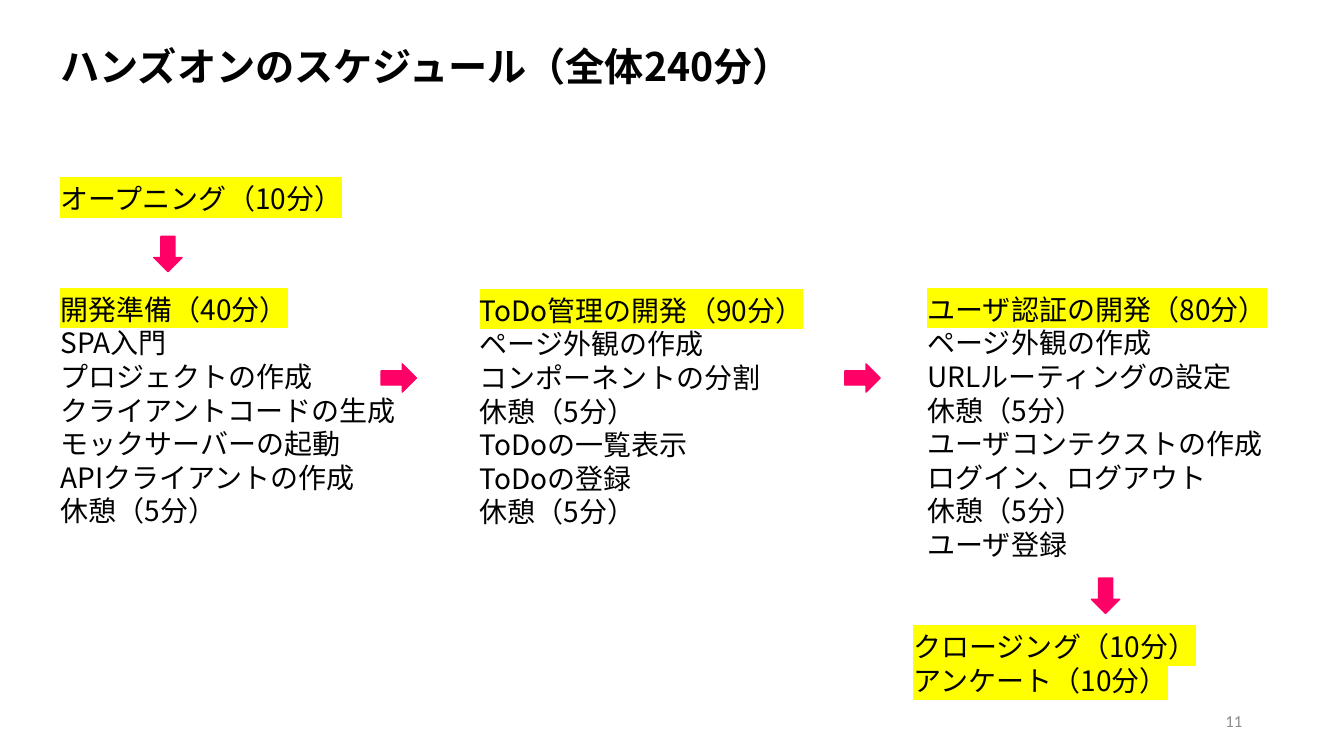
from lxml.etree import SubElement
from pptx import Presentation
from pptx.dml.color import RGBColor
from pptx.enum.shapes import MSO_SHAPE
from pptx.enum.text import MSO_ANCHOR, PP_ALIGN
from pptx.oxml.ns import qn
from pptx.util import Inches, Pt

BLACK = RGBColor(0x00, 0x00, 0x00)
GRAY = RGBColor(0x8C, 0x8C, 0x8C)
PINK = RGBColor(0xFF, 0x00, 0x66)
YELLOW = RGBColor(0xFF, 0xFF, 0x00)
JAPANESE_FONT = "Noto Sans CJK JP"

# Grid: column edges, column width and text line height in inches
LEFT, MIDDLE, RIGHT = 0.5, 4.66, 9.1
COLUMN_WIDTH = 4.01
LINE_HEIGHT = 24 / 72
INSET = 0.05

# Each stage: left, top, highlighted headings, plain items
STAGES = [
    (LEFT, 1.75, ["オープニング（10分）"], []),
    (LEFT, 2.85, ["開発準備（40分）"],
     ["SPA入門", "プロジェクトの作成", "クライアントコードの生成",
      "モックサーバーの起動", "APIクライアントの作成", "休憩（5分）"]),
    (MIDDLE, 2.86, ["ToDo管理の開発（90分）"],
     ["ページ外観の作成", "コンポーネントの分割", "休憩（5分）",
      "ToDoの一覧表示", "ToDoの登録", "休憩（5分）"]),
    (RIGHT, 2.85, ["ユーザ認証の開発（80分）"],
     ["ページ外観の作成", "URLルーティングの設定", "休憩（5分）",
      "ユーザコンテクストの作成", "ログイン、ログアウト", "休憩（5分）", "ユーザ登録"]),
    (8.96, 6.2, ["クロージング（10分）", "アンケート（10分）"], []),
]

# Each arrow: left, top, rotation
ARROWS = [(1.49, 2.38, 90), (3.78, 3.61, 0), (8.38, 3.61, 0), (10.79, 5.77, 90)]


def add_text_box(page, left, top, width, height):
    box = page.shapes.add_textbox(
        Inches(left), Inches(top), Inches(width), Inches(height))
    box.text_frame.word_wrap = True
    return box.text_frame


def add_span(para, text, size, color=BLACK, font=JAPANESE_FONT,
             bold=False, highlight=None):
    span = para.add_run()
    span.text = text
    span.font.size = Pt(size)
    span.font.bold = bold
    span.font.color.rgb = color
    properties = span.font._element
    if highlight is not None:
        marker = SubElement(properties, qn("a:highlight"))
        SubElement(marker, qn("a:srgbClr")).set("val", str(highlight))
    span.font.name = font
    SubElement(properties, qn("a:ea")).set("typeface", font)


def add_title(page, left, top, width, height):
    frame = add_text_box(page, left, top, width, height)
    add_span(frame.paragraphs[0], "ハンズオンのスケジュール（全体240分）", 28, bold=True)


def add_stage(page, left, top, headings, items):
    lines = [(text, YELLOW) for text in headings] + [(text, None) for text in items]
    height = len(lines) * LINE_HEIGHT + 2 * INSET
    frame = add_text_box(page, left, top, COLUMN_WIDTH, height)
    for index, (text, highlight) in enumerate(lines):
        para = frame.add_paragraph() if index else frame.paragraphs[0]
        para.line_spacing = Pt(24)
        add_span(para, text, 20, highlight=highlight)


def add_arrow(page, left, top, rotation):
    arrow = page.shapes.add_shape(
        MSO_SHAPE.RIGHT_ARROW, Inches(left), Inches(top), Inches(0.35), Inches(0.28))
    arrow.rotation = rotation
    arrow.shadow.inherit = False
    arrow.fill.solid()
    arrow.fill.fore_color.rgb = PINK
    arrow.line.color.rgb = PINK
    arrow.line.width = Pt(1)


def add_page_number(page, left, top, width, height):
    frame = add_text_box(page, left, top, width, height)
    frame.vertical_anchor = MSO_ANCHOR.MIDDLE
    para = frame.paragraphs[0]
    para.alignment = PP_ALIGN.RIGHT
    add_span(para, "11", 12, GRAY, "Calibri")


def main():
    deck = Presentation()
    deck.slide_width, deck.slide_height = Inches(13.33), Inches(7.5)
    page = deck.slides.add_slide(deck.slide_layouts[6])

    add_title(page, LEFT, 0.37, 9.19, 0.57)
    for stage in STAGES:
        add_stage(page, *stage)
    for arrow in ARROWS:
        add_arrow(page, *arrow)
    add_page_number(page, 9.42, 6.95, 3, 0.4)

    deck.save("out.pptx")


if __name__ == "__main__":
    main()
